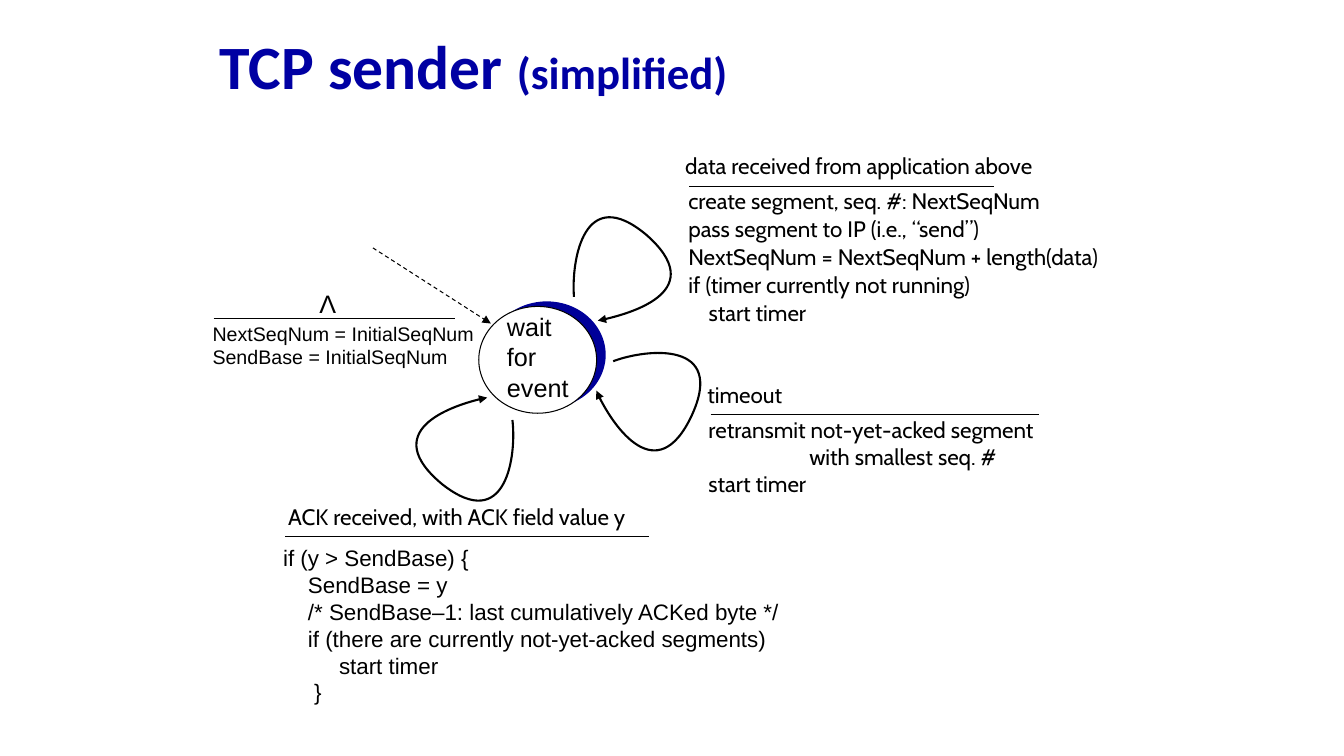
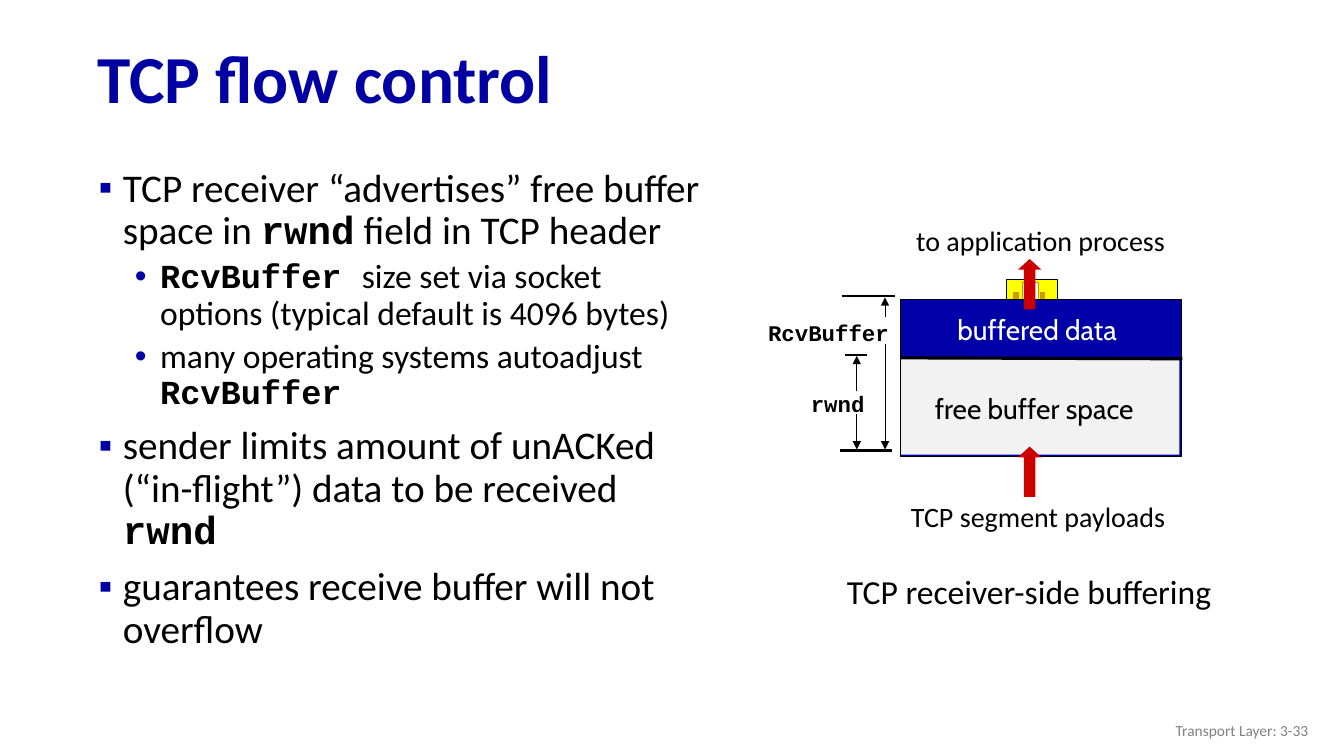
"""Build two slides on the TCP sender state machine and TCP flow control."""
from lxml.etree import SubElement
from pptx import Presentation
from pptx.dml.color import RGBColor
from pptx.enum.dml import MSO_LINE
from pptx.enum.shapes import MSO_CONNECTOR, MSO_SHAPE
from pptx.enum.text import MSO_ANCHOR, MSO_AUTO_SIZE, PP_ALIGN
from pptx.oxml.ns import qn
from pptx.util import Pt

BLACK, WHITE, GRAY = "000000", "FFFFFF", "808080"
TITLE_BLUE, BUFFER_BLUE, STATE_BLUE = "0000A3", "0000A8", "000099"
RED, YELLOW, GOLD, FREE_GRAY = "CC0000", "FFFF00", "CC9900", "F2F2F2"
SANS, ROUND, CODE, PLAIN = "Calibri", "Cabin", "Courier New", "Arial"
TITLE_STYLE = dict(color=TITLE_BLUE, bold=True, wrap=True,
                   anchor=MSO_ANCHOR.MIDDLE, spacing=0.9)


def add_text(page, place, size, font, lines, color=BLACK, bold=False, wrap=False,
             align=PP_ALIGN.LEFT, anchor=MSO_ANCHOR.TOP, spacing=1.0):
    """Add a text box from (indent, text) lines and return its text frame."""
    frame = page.shapes.add_textbox(*map(Pt, place)).text_frame
    frame.word_wrap = wrap
    frame.auto_size = MSO_AUTO_SIZE.NONE if wrap else MSO_AUTO_SIZE.SHAPE_TO_FIT_TEXT
    frame.vertical_anchor = anchor
    for number, (indent, text) in enumerate(lines):
        para = frame.add_paragraph() if number else frame.paragraphs[0]
        if indent:
            para._p.get_or_add_pPr().set("marL", str(Pt(indent)))
        para.alignment = align
        para.line_spacing = spacing
        span = para.add_run()
        span.text = text
        span.font.name, span.font.size, span.font.bold = font, Pt(size), bold
        span.font.color.rgb = RGBColor.from_string(color)
    return frame


def draw_line(shape, width, arrow=False, dashed=False):
    """Give a connector or curve a black line without a shadow."""
    shape.line.color.rgb = RGBColor.from_string(BLACK)
    shape.line.width = Pt(width)
    if dashed:
        shape.line.dash_style = MSO_LINE.DASH
    properties = shape.element.spPr
    if arrow:
        SubElement(properties.find(qn("a:ln")), qn("a:tailEnd"), type="triangle")
    SubElement(properties, qn("a:effectLst"))


deck = Presentation()
deck.slide_width, deck.slide_height = Pt(960), Pt(540)
blank = deck.slide_layouts[6]

page = deck.slides.add_slide(blank)
for left, top, fill, outlined in [(348.5, 215.3, STATE_BLUE, False), (342, 218.9, WHITE, True)]:
    state = page.shapes.add_shape(MSO_SHAPE.OVAL, Pt(left), Pt(top), Pt(84.2), Pt(76.3))
    state.shadow.inherit = False
    state.fill.solid()
    state.fill.fore_color.rgb = RGBColor.from_string(fill)
    if outlined:
        state.line.color.rgb = RGBColor.from_string(BLACK)
        state.line.width = Pt(0.75)
    else:
        state.line.fill.background()

title = add_text(page, (149.8, 14.4, 609.1, 70.6), 44, SANS, [(0, "TCP sender ")], **TITLE_STYLE)
span = title.paragraphs[0].add_run()
span.text = "(simplified)"
span.font.name, span.font.size, span.font.bold = SANS, Pt(32), True
span.font.color.rgb = RGBColor.from_string(TITLE_BLUE)

sender_texts = [
    ((355, 218.9, 58.3, 72), 18, PLAIN, [(0, "wait"), (0, "for"), (0, "event")]),
    ((144.7, 226.1, 202.3, 41), 14, PLAIN,
     [(0, "NextSeqNum = InitialSeqNum"), (0, "SendBase = InitialSeqNum")]),
    ((221, 202.3, 26.6, 28.8), 18, PLAIN, [(0, "Λ")]),
    ((482.4, 105.1, 275.8, 26.6), 16, ROUND, [(0, "data received from application above")]),
    ((498.2, 268.6, 68.4, 26.6), 16, ROUND, [(0, "timeout")]),
    ((198.7, 355.7, 275, 26.6), 16, ROUND, [(0, "ACK received, with ACK field value y")]),
    ((195.1, 385.2, 373, 123.8), 16, PLAIN, [
        (0, "if (y > SendBase) {"),
        (17.8, "SendBase = y"),
        (17.8, "/* SendBase–1: last cumulatively ACKed byte */"),
        (17.8, "if (there are currently not-yet-acked segments)"),
        (40, "start timer"),
        (22.2, "}")]),
]
for place, size, font, lines in sender_texts:
    add_text(page, place, size, font, lines)
add_text(page, (484.6, 128.9, 332.6, 127.4), 16, ROUND, [
    (0, "create segment, seq. #: NextSeqNum"),
    (0, "pass segment to IP (i.e., “send”)"),
    (0, "NextSeqNum = NextSeqNum + length(data)"),
    (0, "if (timer currently not running)"),
    (14.4, "start timer")], spacing=1.05)
add_text(page, (499, 293.8, 259.2, 64.8), 16, ROUND, [
    (0, "retransmit not-yet-acked segment"),
    (72, "with smallest seq. #"),
    (0, "start timer")], wrap=True)

for left, right, height in [(152.6, 324.7, 227.5), (492.5, 709.9, 133.2),
                            (507.6, 742.3, 295.9), (203.8, 463.7, 383)]:
    rule = page.shapes.add_connector(MSO_CONNECTOR.STRAIGHT, Pt(left), Pt(height),
                                     Pt(right), Pt(height))
    draw_line(rule, 0.75)
start_arrow = page.shapes.add_connector(MSO_CONNECTOR.STRAIGHT, Pt(266.4), Pt(177.1),
                                        Pt(350.6), Pt(231.1))
draw_line(start_arrow, 0.75, arrow=True, dashed=True)

event_loops = [
    [(409.7, 212.4), (407.5, 186.5), (416.9, 129.6), (461.5, 168.5),
     (506.2, 206.6), (445, 226.1), (427, 229)],
    [(437.8, 258.5), (461.5, 249.1), (519.1, 243.4), (493.9, 296.6),
     (468.7, 349.9), (433.4, 296.6), (426.2, 279.4)],
    [(365.8, 299.5), (369.4, 325.4), (362.2, 382.3), (316.1, 345.6),
     (270, 308.2), (329.8, 286.6), (348.5, 283.7)],
]
for points in event_loops:
    builder = page.shapes.build_freeform(*points[0], scale=Pt(1))
    builder.add_line_segments(points[1:], close=False)
    loop = builder.convert_to_shape()
    loop.fill.background()
    outline = next(loop.element.iter(qn("a:path")))
    segments = outline.findall(qn("a:lnTo"))
    for first in range(0, len(segments), 3):
        curve = SubElement(outline, qn("a:cubicBezTo"))
        for segment in segments[first:first + 3]:
            curve.append(segment[0])
            outline.remove(segment)
    draw_line(loop, 1.5, arrow=True)

page = deck.slides.add_slide(blank)
add_text(page, (62.6, 23, 897.1, 70.6), 48, SANS, [(0, "TCP flow control")], **TITLE_STYLE)

bullet_levels = [
    dict(size=28, margin=28.1, hang=17.3, before=10, mark="▪", color=TITLE_BLUE),
    dict(size=24, margin=54.7, hang=18, before=5, mark="•", color=BUFFER_BLUE),
]
bullets = [
    (0, [("TCP receiver “advertises” free buffer space in ", SANS), ("rwnd", CODE),
         (" field in TCP header", SANS)]),
    (1, [("RcvBuffer ", CODE),
         ("size set via socket options (typical default is 4096 bytes)", SANS)]),
    (1, [("many operating systems autoadjust ", SANS), ("RcvBuffer", CODE)]),
    (0, [("sender limits amount of unACKed (“in-flight”) data to be received ", SANS),
         ("rwnd", CODE)]),
    (0, [("guarantees receive buffer will not overflow", SANS)]),
]
body = page.shapes.add_textbox(Pt(52.6), Pt(116.6), Pt(458.6), Pt(386.6)).text_frame
body.word_wrap = True
for number, (depth, spans) in enumerate(bullets):
    level = bullet_levels[depth]
    para = body.add_paragraph() if number else body.paragraphs[0]
    para.level = depth
    properties = para._p.get_or_add_pPr()
    properties.set("marL", str(Pt(level["margin"])))
    properties.set("indent", str(-Pt(level["hang"])))
    SubElement(SubElement(properties, qn("a:buClr")), qn("a:srgbClr"), val=level["color"])
    SubElement(properties, qn("a:buFont"), typeface=PLAIN)
    SubElement(properties, qn("a:buChar"), char=level["mark"])
    para.line_spacing = 0.9
    if number:
        para.space_before = Pt(level["before"])
    for text, font in spans:
        span = para.add_run()
        span.text = text
        span.font.name, span.font.size, span.font.bold = font, Pt(level["size"]), font == CODE
        span.font.color.rgb = RGBColor.from_string(BLACK)

buffer_shapes = [
    (MSO_SHAPE.RECTANGLE, (719.3, 199.4, 36, 16.6), YELLOW, BLACK),
    (MSO_SHAPE.RECTANGLE, (730.1, 201.6, 11.5, 12.2), WHITE, GOLD),
    (MSO_SHAPE.RECTANGLE, (743, 208.8, 2.9, 4.3), GOLD, GOLD),
    (MSO_SHAPE.RECTANGLE, (724.3, 208.8, 2.9, 4.3), GOLD, GOLD),
    (MSO_SHAPE.RECTANGLE, (643, 213.8, 200.9, 112.3), BUFFER_BLUE, BLACK),
    (MSO_SHAPE.UP_ARROW, (727.2, 185, 16.6, 36), RED, None),
    (MSO_SHAPE.RECTANGLE, (643.7, 255.6, 198.7, 69.1), FREE_GRAY, None),
    (MSO_SHAPE.UP_ARROW, (727.2, 319, 16.6, 36), RED, None),
]
for kind, place, fill, edge in buffer_shapes:
    part = page.shapes.add_shape(kind, *map(Pt, place))
    part.shadow.inherit = False
    part.fill.solid()
    part.fill.fore_color.rgb = RGBColor.from_string(fill)
    if edge:
        part.line.color.rgb = RGBColor.from_string(edge)
        part.line.width = Pt(0.75)
    else:
        part.line.fill.background()
    if kind == MSO_SHAPE.UP_ARROW:
        part.adjustments[1] = 0.46

measure_lines = [
    ((643, 255.6, 844.6, 256.3), 2.25, False),
    ((599.8, 321.8, 637.2, 321.8), 1.5, False),
    ((603.4, 253.4, 619.2, 253.4), 1.5, False),
    ((601.2, 211.7, 639.4, 211.7), 1.5, False),
    ((612, 279.4, 612, 254.2), 0.75, True),
    ((612, 295.9, 612, 321.1), 0.75, True),
    ((632.2, 226.1, 632.2, 212.4), 0.75, True),
    ((632.2, 245.5, 632.2, 321.1), 0.75, True),
]
for ends, width, arrow in measure_lines:
    line = page.shapes.add_connector(MSO_CONNECTOR.STRAIGHT, *map(Pt, ends))
    draw_line(line, width, arrow)

buffer_labels = [
    ((673.9, 219.6, 133.9, 31), 20, ROUND, "buffered data", WHITE),
    ((656.6, 275.8, 164.2, 31), 20, ROUND, "free buffer space", BLACK),
    ((571.7, 275, 53.3, 26.6), 16, CODE, "rwnd", BLACK),
    ((541.4, 224.6, 100.8, 26.6), 16, CODE, "RcvBuffer", BLACK),
    ((642.2, 353.5, 198.7, 31.7), 20, SANS, "TCP segment payloads", BLACK),
    ((645.8, 156.2, 195.1, 31.7), 20, SANS, "to application process", BLACK),
    ((594.7, 404.6, 280.8, 36), 24, SANS, "TCP receiver-side buffering", BLACK),
]
for place, size, font, text, color in buffer_labels:
    add_text(page, place, size, font, [(0, text)], color, bold=font == CODE,
             align=PP_ALIGN.CENTER)
add_text(page, (725.8, 507.6, 216, 28.8), 11, SANS, [(0, "Transport Layer: 3-33")], GRAY,
         wrap=True, align=PP_ALIGN.RIGHT, anchor=MSO_ANCHOR.MIDDLE)

deck.save("out.pptx")
